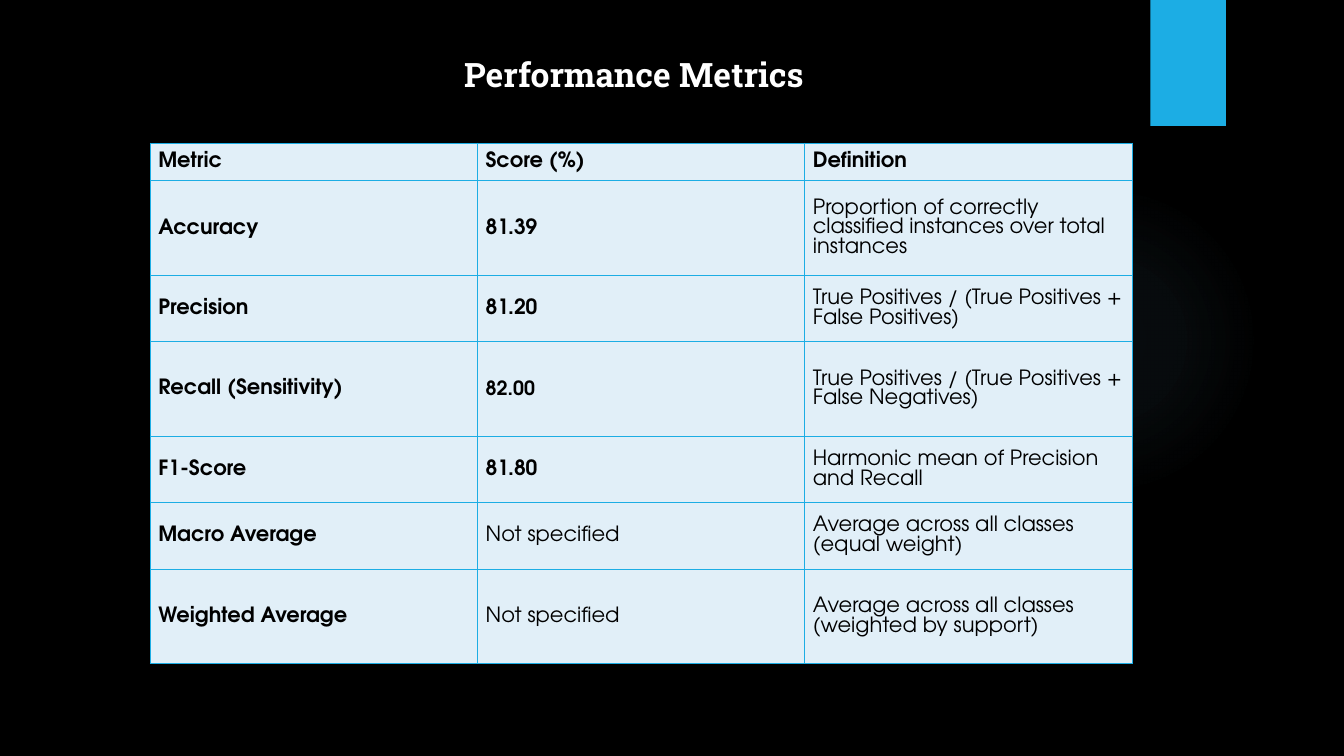
from dataclasses import dataclass

from lxml import etree
from pptx import Presentation
from pptx.dml.color import RGBColor
from pptx.enum.shapes import MSO_SHAPE
from pptx.enum.text import MSO_ANCHOR, MSO_AUTO_SIZE, PP_ALIGN
from pptx.oxml import parse_xml
from pptx.oxml.ns import qn
from pptx.util import Pt

TOP, MIDDLE = MSO_ANCHOR.TOP, MSO_ANCHOR.MIDDLE
LEFT, CENTER = PP_ALIGN.LEFT, PP_ALIGN.CENTER
NO_AUTOFIT = MSO_AUTO_SIZE.NONE
OVAL, RECTANGLE = MSO_SHAPE.OVAL, MSO_SHAPE.RECTANGLE
TITLE_ONLY = 5
DRAWING_NS = "http://schemas.openxmlformats.org/drawingml/2006/main"


@dataclass(frozen=True)
class Theme:
    background: str = "000000"
    accent: str = "1CADE4"
    glow: str = "70A1C0"
    cell: str = "E1EFF8"
    title_text: str = "FFFFFF"
    body_text: str = "000000"
    title_font: str = "Roboto Slab"
    body_font: str = "TeX Gyre Adventor"
    title_size: float = 24
    body_size: float = 15
    small_size: float = 14
    line_pitch: float = 14
    border: float = 0.75


THEME = Theme()
ROW_HEIGHTS = [27, 67.5, 47.5, 67.5, 47.5, 47.5, 67.5]
METRICS = [
    ("Metric", "Score (%)", "Definition"),
    ("Accuracy", "81.39", "Proportion of correctly classified instances over total instances"),
    ("Precision", "81.20", "True Positives / (True Positives + False Positives)"),
    ("Recall (Sensitivity)", "82.00", "True Positives / (True Positives + False Negatives)"),
    ("F1-Score", "81.80", "Harmonic mean of Precision and Recall"),
    ("Macro Average", "Not specified", "Average across all classes (equal weight)"),
    ("Weighted Average", "Not specified", "Average across all classes (weighted by support)"),
]


def write_text(frame, text, *, font, size, color, bold=False, align=LEFT, pitch=None):
    frame.word_wrap = True
    paragraph = frame.paragraphs[0]
    paragraph.alignment = align
    if pitch:
        paragraph.line_spacing = Pt(pitch)
    run = paragraph.add_run()
    run.text = text
    run.font.name = font
    run.font.size = Pt(size)
    run.font.bold = bold
    run.font.color.rgb = RGBColor.from_string(color)


def add_plain_shape(slide, kind, box, color):
    shape = slide.shapes.add_shape(kind, *map(Pt, box))
    shape.shadow.inherit = False
    shape.line.fill.background()
    shape.fill.solid()
    shape.fill.fore_color.rgb = RGBColor.from_string(color)
    return shape


def add_glow(slide, box):
    """Circle that fades out from its centre."""
    glow = add_plain_shape(slide, OVAL, box, THEME.glow)
    stops = "".join(
        f'<a:gs pos="{position * 1000}"><a:srgbClr val="{THEME.glow}">'
        f'<a:alpha val="{alpha * 1000}"/></a:srgbClr></a:gs>'
        for position, alpha in [(0, 7), (36, 6), (69, 0), (100, 0)]
    )
    gradient = parse_xml(
        f'<a:gradFill xmlns:a="{DRAWING_NS}"><a:gsLst>{stops}</a:gsLst><a:path path="circle">'
        '<a:fillToRect l="50000" t="50000" r="50000" b="50000"/></a:path></a:gradFill>'
    )
    properties = glow.element.spPr
    properties.replace(properties.find(qn("a:solidFill")), gradient)


def add_title(slide, box, text):
    title = slide.shapes.title
    title.left, title.top, title.width, title.height = map(Pt, box)
    frame = title.text_frame
    frame.auto_size = NO_AUTOFIT
    frame.vertical_anchor = TOP
    frame.margin_top = Pt(21.5)
    write_text(frame, text, font=THEME.title_font, size=THEME.title_size,
               color=THEME.title_text, bold=True, align=CENTER)


def set_borders(cell):
    properties = cell._tc.get_or_add_tcPr()
    for index, side in enumerate(("lnL", "lnR", "lnT", "lnB")):
        line = etree.Element(qn(f"a:{side}"), w=str(Pt(THEME.border)))
        fill = etree.SubElement(line, qn("a:solidFill"))
        etree.SubElement(fill, qn("a:srgbClr"), val=THEME.accent)
        properties.insert(index, line)


def add_metrics_table(slide, box, rows, heights):
    columns = len(rows[0])
    table = slide.shapes.add_table(len(rows), columns, *map(Pt, box)).table
    table.horz_banding = False
    for column in table.columns:
        column.width = Pt(box[2] / columns)
    for row_index, values in enumerate(rows):
        table.rows[row_index].height = Pt(heights[row_index])
        for column_index, value in enumerate(values):
            cell = table.cell(row_index, column_index)
            cell.fill.solid()
            cell.fill.fore_color.rgb = RGBColor.from_string(THEME.cell)
            cell.vertical_anchor = MIDDLE
            cell.margin_left = cell.margin_right = Pt(5.8)
            cell.margin_top = cell.margin_bottom = Pt(2.9)
            set_borders(cell)
            is_score = column_index == 1 and value[0].isdigit()
            write_text(cell.text_frame, value, font=THEME.body_font,
                       size=THEME.small_size if value == "82.00" else THEME.body_size,
                       color=THEME.body_text, pitch=THEME.line_pitch,
                       bold=row_index == 0 or column_index == 0 or is_score)


def build_metrics_slide(presentation):
    slide = presentation.slides.add_slide(presentation.slide_layouts[TITLE_ONLY])
    slide.background.fill.solid()
    slide.background.fill.fore_color.rgb = RGBColor.from_string(THEME.background)
    add_glow(slide, (677.5, 131.8, 221.8, 221.8))
    add_plain_shape(slide, RECTANGLE, (821.7, 0, 54, 90), THEME.accent)
    add_title(slide, (22.3, 17.3, 861.1, 94.3), "Performance Metrics")
    add_metrics_table(slide, (107.3, 102.2, 701.4, sum(ROW_HEIGHTS)), METRICS, ROW_HEIGHTS)


def main():
    presentation = Presentation()
    presentation.slide_width, presentation.slide_height = Pt(960), Pt(540)
    build_metrics_slide(presentation)
    presentation.save("out.pptx")


if __name__ == "__main__":
    main()
